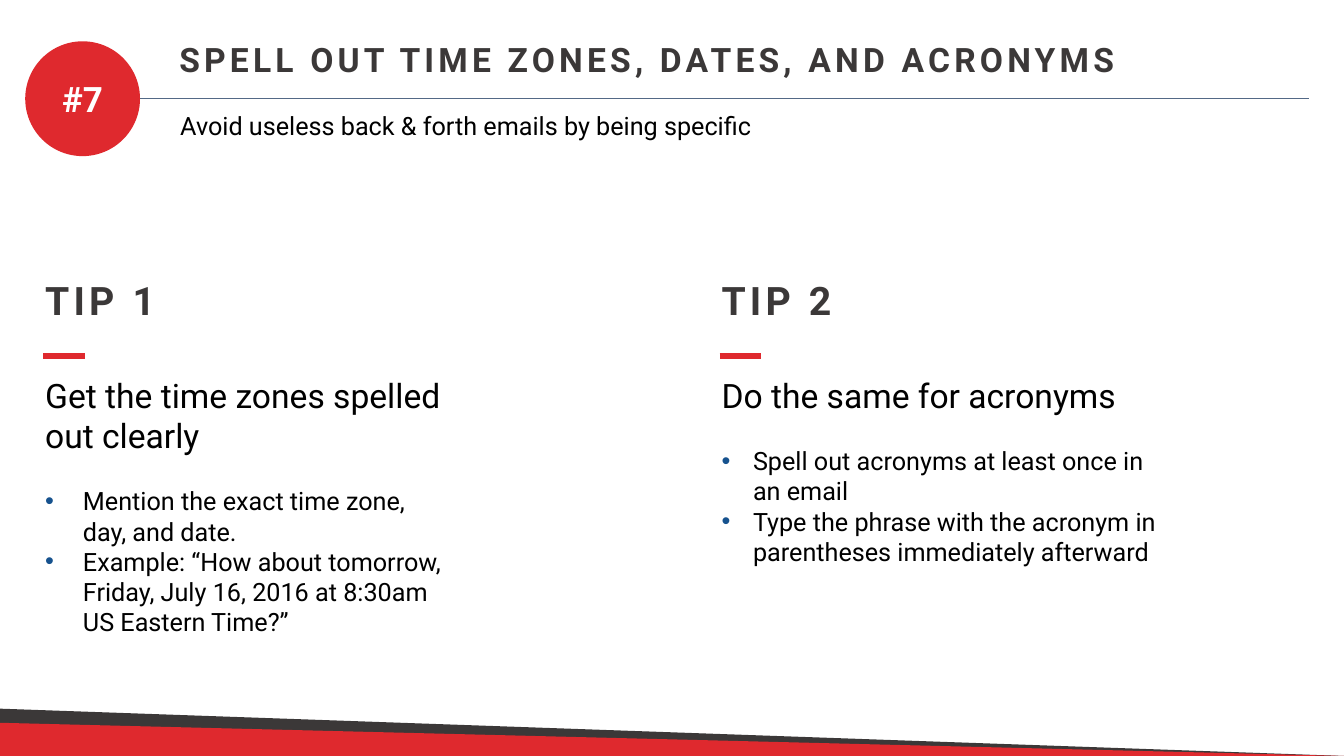
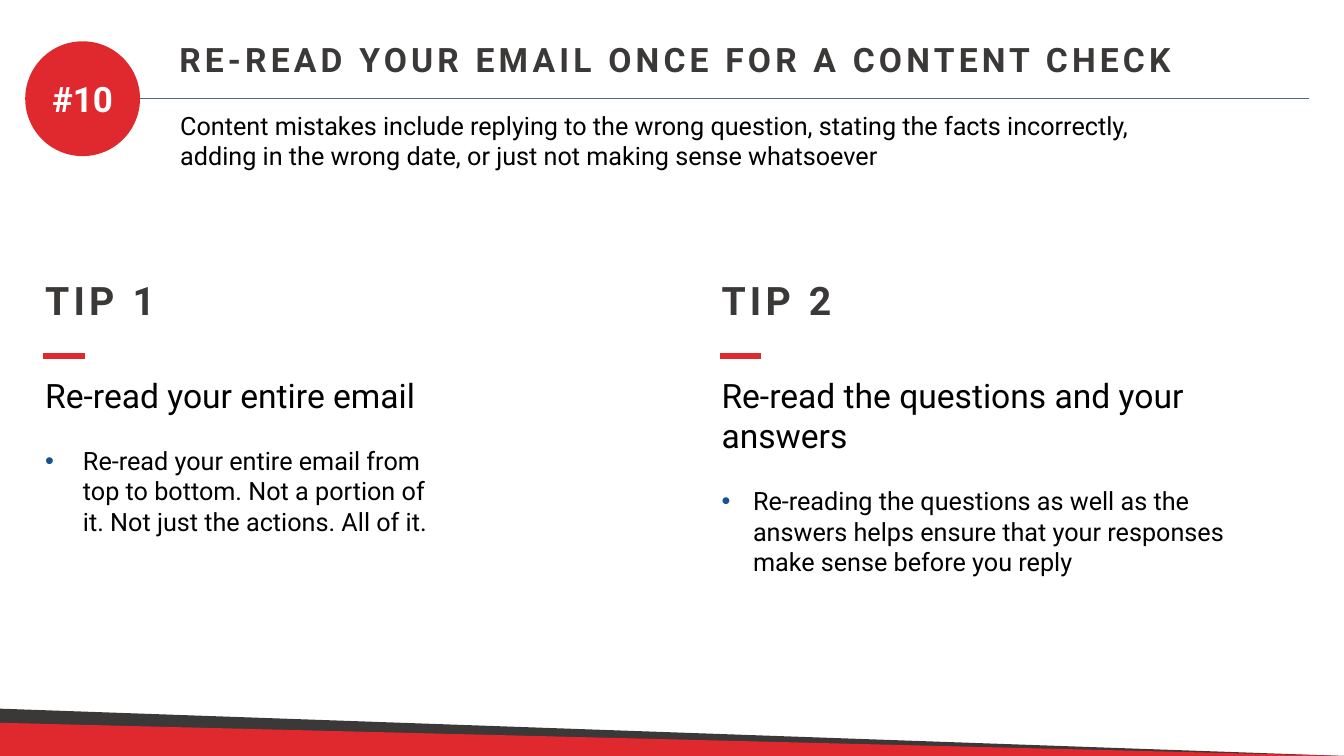
from pptx import Presentation
from pptx.dml.color import RGBColor
from pptx.enum.shapes import MSO_CONNECTOR, MSO_SHAPE
from pptx.enum.text import MSO_ANCHOR, PP_ALIGN
from pptx.oxml.ns import qn
from pptx.util import Pt
from lxml import etree

OVAL, WEDGE = MSO_SHAPE.OVAL, MSO_SHAPE.RIGHT_TRIANGLE
LINE = MSO_CONNECTOR.STRAIGHT
MIDDLE, CENTER = MSO_ANCHOR.MIDDLE, PP_ALIGN.CENTER

RED, DARK, BLUE = "DF292E", "3B3838", "16528E"
RULE, BLACK, WHITE = "536986", "000000", "FFFFFF"
WIDE, HIGH = 960, 540

STYLES = {
    "title": {"size": 24, "color": DARK, "bold": True, "space": 3},
    "tip": {"size": 28, "color": DARK, "bold": True, "space": 3},
    "badge": {"size": 25, "color": WHITE, "bold": True},
    "lead": {"size": 24, "color": BLACK},
    "body": {"size": 18, "color": BLACK},
}
COLUMNS = [{"left": 25.2, "indent": 27}, {"left": 508.3, "indent": 22.5}]
WEDGES = [(506.2, DARK), (516.3, RED)]

SLIDES = [
    {
        "badge": "#7",
        "title": "SPELL OUT TIME ZONES, DATES, AND ACRONYMS",
        "intro": "Avoid useless back & forth emails by being specific",
        "tips": [
            {"lead": "Get the time zones spelled out clearly", "width": 304.6,
             "points": [
                 "Mention the exact time zone, day, and date.",
                 "Example: “How about tomorrow, Friday, July 16, 2016 "
                 "at 8:30am US Eastern Time?”"]},
            {"lead": "Do the same for acronyms", "width": 331.9,
             "points": [
                 "Spell out acronyms at least once in an email",
                 "Type the phrase with the acronym in parentheses "
                 "immediately afterward"]},
        ],
    },
    {
        "badge": "#10",
        "title": "RE-READ YOUR EMAIL ONCE FOR A CONTENT CHECK",
        "intro": "Content mistakes include replying to the wrong question, "
                 "stating the facts incorrectly, adding in the wrong date, "
                 "or just not making sense whatsoever",
        "tips": [
            {"lead": "Re-read your entire email", "width": 304.6,
             "points": [
                 "Re-read your entire email from top to bottom. Not a portion "
                 "of it. Not just the actions. All of it."]},
            {"lead": "Re-read the questions and your answers", "width": 386.6,
             "points": [
                 "Re-reading the questions as well as the answers helps ensure "
                 "that your responses make sense before you reply"]},
        ],
    },
]


def paint(code):
    return RGBColor.from_string(code)


def write(para, text, style):
    look = STYLES[style]
    run = para.add_run()
    run.text = text
    values = {"name": "Roboto", "size": Pt(look["size"]),
              "bold": look.get("bold", False)}
    for key, value in values.items():
        setattr(run.font, key, value)
    run.font.color.rgb = paint(look["color"])
    if "space" in look:
        run.font._element.set("spc", str(look["space"] * 100))


def bullet(para, indent):
    props = para._p.get_or_add_pPr()
    props.set("marL", str(Pt(indent)))
    props.set("indent", str(-Pt(indent)))
    color = etree.SubElement(props, qn("a:buClr"))
    etree.SubElement(color, qn("a:srgbClr"), val=BLUE)
    etree.SubElement(props, qn("a:buFont"), typeface="Arial")
    etree.SubElement(props, qn("a:buChar"), char="•")


def add_text(slide, box, text, style):
    frame = slide.shapes.add_textbox(*map(Pt, box)).text_frame
    frame.word_wrap = True
    write(frame.paragraphs[0], text, style)
    return frame


def add_line(slide, left, top, width, color, weight):
    line = slide.shapes.add_connector(
        LINE, Pt(left), Pt(top), Pt(left + width), Pt(top))
    line.line.color.rgb = paint(color)
    line.line.width = Pt(weight)
    etree.SubElement(line._element.spPr, qn("a:effectLst"))


def add_shape(slide, kind, box, color):
    shape = slide.shapes.add_shape(kind, *map(Pt, box))
    shape.shadow.inherit = False
    shape.fill.solid()
    shape.fill.fore_color.rgb = paint(color)
    shape.line.fill.background()
    return shape


def add_frame(slide, page):
    add_text(slide, (121, 24.5, 820, 36), page["title"], "title")
    add_line(slide, 25.2, 70.6, 910, RULE, 0.5)
    for top, color in WEDGES:
        add_shape(slide, WEDGE, (0, top, WIDE, HIGH - top), color)
    badge = add_shape(slide, OVAL, (18, 29.5, 82, 82), RED).text_frame
    badge.vertical_anchor = MIDDLE
    badge.paragraphs[0].alignment = CENTER
    write(badge.paragraphs[0], page["badge"], "badge")
    add_text(slide, (121.7, 74.9, 734.4, 51), page["intro"], "body")


def add_tip(slide, number, column, tip):
    left = column["left"]
    add_text(slide, (left, 193.7, 120, 41), f"TIP {number}", "tip")
    add_line(slide, left + 5.8, 254.2, 29.5, RED, 4.5)
    box = (left, 264.2, tip["width"], 225)
    frame = add_text(slide, box, tip["lead"], "lead")
    for index, point in enumerate(tip["points"]):
        para = frame.add_paragraph()
        bullet(para, column["indent"])
        para.space_before = Pt(0 if index else 21.6)
        write(para, point, "body")


def main():
    """Build the slides of email tips."""
    deck = Presentation()
    deck.slide_width, deck.slide_height = Pt(WIDE), Pt(HIGH)
    for page in SLIDES:
        slide = deck.slides.add_slide(deck.slide_layouts[6])
        add_frame(slide, page)
        for number, pair in enumerate(zip(COLUMNS, page["tips"]), 1):
            add_tip(slide, number, *pair)
    deck.save("out.pptx")


if __name__ == "__main__":
    main()
